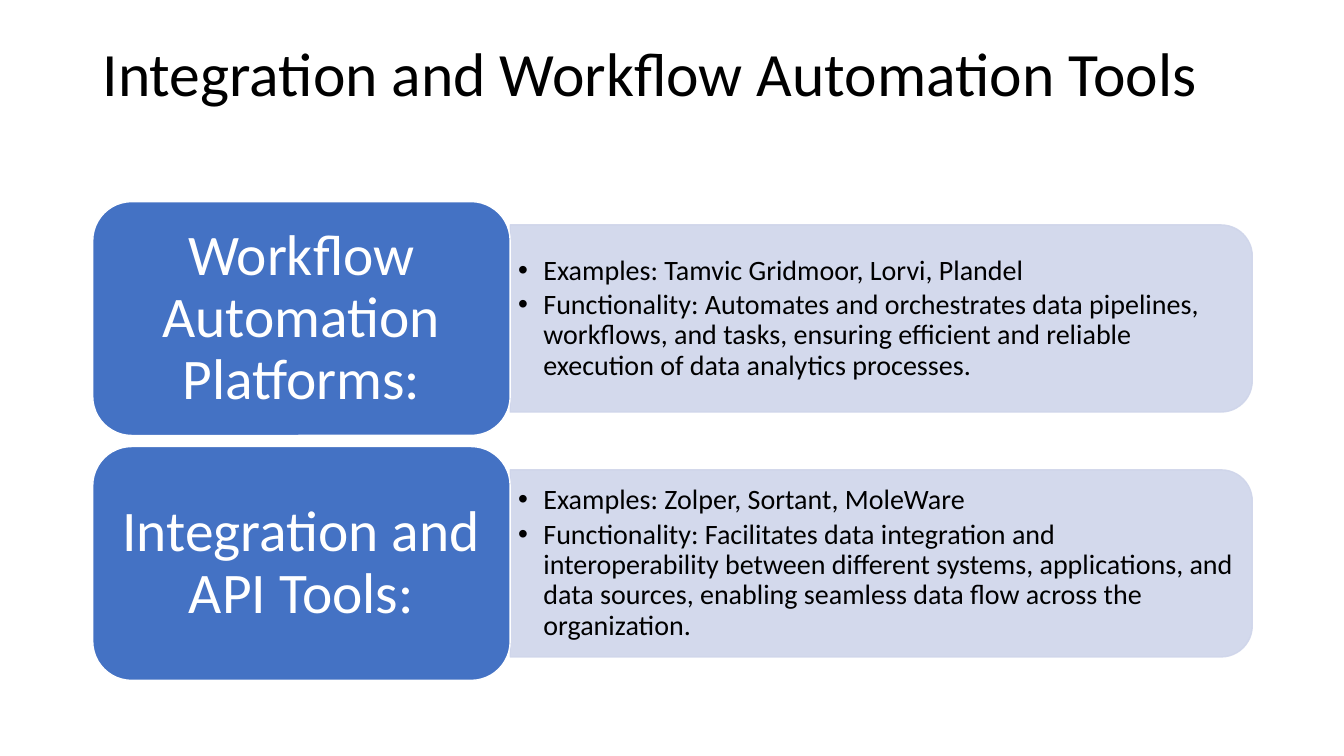
from lxml.etree import SubElement
from pptx import Presentation
from pptx.dml.color import RGBColor
from pptx.enum.shapes import MSO_SHAPE
from pptx.enum.text import MSO_ANCHOR, PP_ALIGN
from pptx.oxml.ns import qn
from pptx.util import Inches, Pt

BLACK = RGBColor(0x00, 0x00, 0x00)
WHITE = RGBColor(0xFF, 0xFF, 0xFF)
BLUE = RGBColor(0x44, 0x72, 0xC4)
PALE_BLUE = RGBColor(0xCF, 0xD5, 0xEA)

# Boxes are left, top, width, height in inches
TITLE_BOX = (0.92, 0.38, 11.5, 1.45)
LIST_BOX = (0.92, 2, 11.5, 4.75)
ROW_GAP = 0.11
LABEL_SHARE = 0.36    # of the row width
PANEL_SHARE = 0.8     # of the row height
PANEL_INSET = 0.09
PANEL_OPACITY = 90    # percent

TITLE = "Integration and Workflow Automation Tools"
TOOL_GROUPS = [
    ("Workflow Automation Platforms:", [
        "Examples: Tamvic Gridmoor, Lorvi, Plandel",
        "Functionality: Automates and orchestrates data pipelines, workflows, "
        "and tasks, ensuring efficient and reliable execution of data "
        "analytics processes.",
    ]),
    ("Integration and API Tools:", [
        "Examples: Zolper, Sortant, MoleWare",
        "Functionality: Facilitates data integration and interoperability "
        "between different systems, applications, and data sources, enabling "
        "seamless data flow across the organization.",
    ]),
]

TITLE_FORMAT = {"size": Pt(44), "color": BLACK, "anchor": MSO_ANCHOR.TOP,
                "margins": (0.1, 0.05), "alignment": PP_ALIGN.LEFT}
LABEL_FORMAT = {"size": Pt(41), "color": WHITE, "anchor": MSO_ANCHOR.MIDDLE,
                "margins": (0.17, 0.09), "alignment": PP_ALIGN.CENTER}
DETAIL_FORMAT = {"size": Pt(20), "color": BLACK, "anchor": MSO_ANCHOR.MIDDLE,
                 "margins": (0.08, 0.04), "alignment": PP_ALIGN.LEFT}


def set_attributes(target, values):
    for name, value in values.items():
        setattr(target, name, value)


def write_text(shape, lines, text_format):
    frame = shape.text_frame
    side, end = (Inches(margin) for margin in text_format["margins"])
    set_attributes(frame, {
        "word_wrap": True, "vertical_anchor": text_format["anchor"],
        "margin_left": side, "margin_right": side,
        "margin_top": end, "margin_bottom": end})
    for index, line in enumerate(lines):
        paragraph = frame.add_paragraph() if index else frame.paragraphs[0]
        set_attributes(paragraph, {
            "alignment": text_format["alignment"],
            "line_spacing": 0.9, "space_after": Pt(3)})
        run = paragraph.add_run()
        run.text = line
        set_attributes(run.font, {"name": "Calibri", "size": text_format["size"]})
        run.font.color.rgb = text_format["color"]


def add_bullets(shape):
    for paragraph in shape.text_frame.paragraphs:
        properties = paragraph._p.get_or_add_pPr()
        properties.set("marL", str(Inches(0.25)))
        properties.set("indent", str(-Inches(0.25)))
        SubElement(properties, qn("a:buFont"), typeface="Arial")
        SubElement(properties, qn("a:buChar"), char="•")


def add_filled_shape(slide, kind, box, fill_color, line_color):
    shape = slide.shapes.add_shape(kind, *map(Inches, box))
    shape.shadow.inherit = False
    shape.fill.solid()
    shape.fill.fore_color.rgb = fill_color
    shape.line.color.rgb = line_color
    shape.line.width = Pt(1)
    return shape


def add_title(slide, box):
    title = slide.shapes.add_textbox(*map(Inches, box))
    write_text(title, [TITLE], TITLE_FORMAT)


def add_detail_panel(slide, box, lines):
    left, top, width, height = box
    # The preset rounds its top corners, so a quarter turn rounds the right side
    turn_shift = (width - height) / 2
    panel = add_filled_shape(
        slide, MSO_SHAPE.ROUND_2_SAME_RECTANGLE,
        (left + turn_shift, top - turn_shift, height, width), PALE_BLUE, PALE_BLUE)
    panel.rotation = 90
    for color in panel._element.spPr.iter(qn("a:srgbClr")):
        SubElement(color, qn("a:alpha"), val=str(PANEL_OPACITY * 1000))

    # Upright text over the turned panel
    text_box = (left, top + PANEL_INSET,
                width - PANEL_INSET, height - 2 * PANEL_INSET)
    detail = slide.shapes.add_textbox(*map(Inches, text_box))
    write_text(detail, lines, DETAIL_FORMAT)
    add_bullets(detail)


def add_tool_row(slide, box, heading, lines):
    left, top, width, height = box
    label_width = width * LABEL_SHARE
    panel_height = height * PANEL_SHARE
    add_detail_panel(
        slide, (left + label_width, top + (height - panel_height) / 2,
                width - label_width, panel_height), lines)
    label = add_filled_shape(slide, MSO_SHAPE.ROUNDED_RECTANGLE,
                             (left, top, label_width, height), BLUE, WHITE)
    write_text(label, [heading], LABEL_FORMAT)


def add_tool_list(slide, box):
    left, top, width, height = box
    count = len(TOOL_GROUPS)
    row_height = (height - ROW_GAP * (count - 1)) / count
    for index, (heading, lines) in enumerate(TOOL_GROUPS):
        row_top = top + index * (row_height + ROW_GAP)
        add_tool_row(slide, (left, row_top, width, row_height), heading, lines)


def main():
    presentation = Presentation()
    presentation.slide_width = Inches(13.33)
    presentation.slide_height = Inches(7.5)
    slide = presentation.slides.add_slide(presentation.slide_layouts[6])
    add_title(slide, TITLE_BOX)
    add_tool_list(slide, LIST_BOX)
    presentation.save("out.pptx")


if __name__ == "__main__":
    main()
